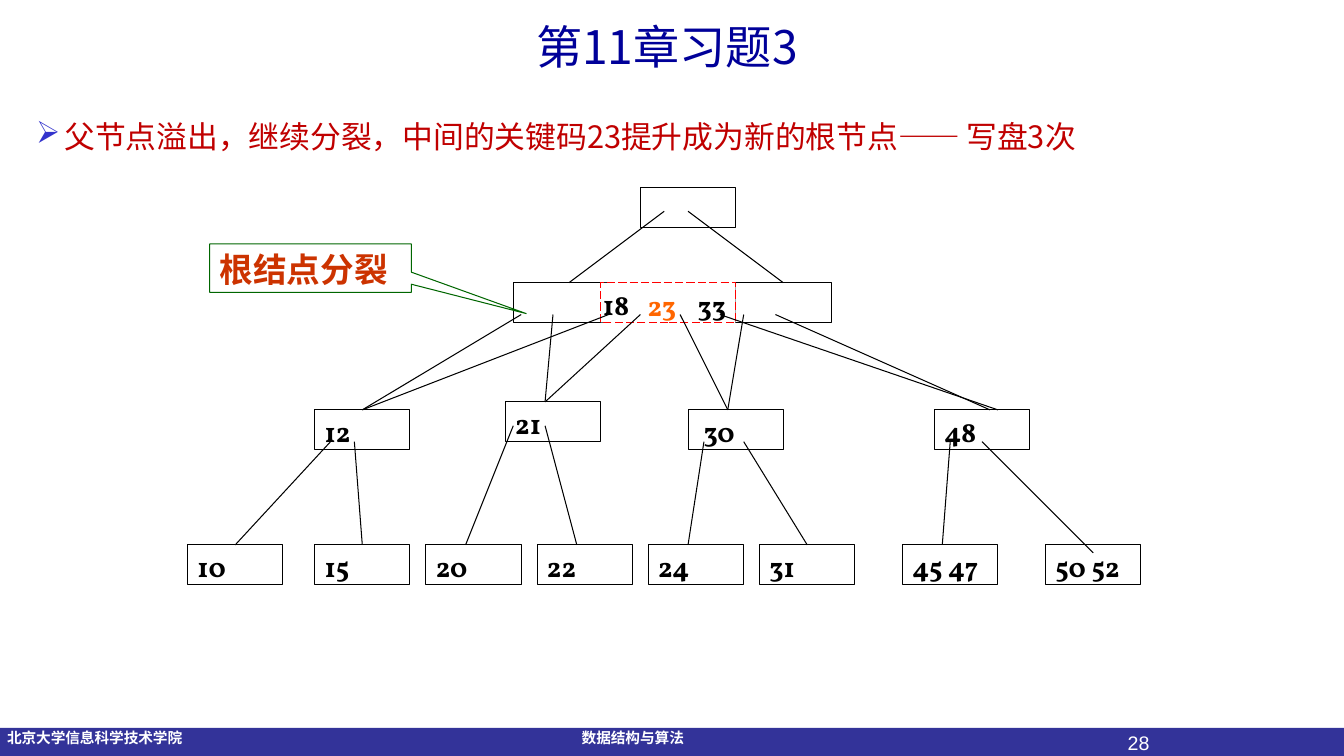
from typing import NamedTuple

from lxml.etree import SubElement
from pptx import Presentation
from pptx.dml.color import RGBColor
from pptx.enum.dml import MSO_LINE
from pptx.enum.shapes import MSO_CONNECTOR, MSO_SHAPE
from pptx.enum.text import MSO_ANCHOR, PP_ALIGN
from pptx.oxml.ns import qn
from pptx.util import Inches, Pt

WIDTH, HEIGHT = 13.33, 7.5
ORIGIN, UNIT = 1.86, 0.0788  # the tree grid starts at the same distance left and top
NODE_COLUMNS, NODE_ROWS = 12, 5
SANS, SERIF, PLAIN = "Noto Sans CJK SC", "Vollkorn", "Arial"
BLACK, WHITE = "000000", "FFFFFF"


class Node(NamedTuple):
    column: int
    row: int
    keys: str = ""


class Edge(NamedTuple):
    start_column: int
    start_row: int
    end_column: int
    end_row: int


class Label(NamedTuple):
    text: str
    left: float
    top: float
    width: float
    height: float
    size: float
    font: str
    color: str
    bold: bool = True
    align: PP_ALIGN = PP_ALIGN.LEFT
    wrap: bool = True
    left_inset: float = 0.1


NODES = [
    Node(57, 0), Node(69, 12), Node(41, 12),
    Node(16, 28, "12"), Node(40, 27, "21"), Node(63, 28, " 30"), Node(94, 28, "48"),
    Node(0, 45, "10"), Node(16, 45, "15"), Node(30, 45, "20"), Node(44, 45, "22"),
    Node(58, 45, "24"), Node(72, 45, "31"), Node(90, 45, "45 47"), Node(108, 45, "50 52"),
]
EDGES = [
    # New root to the two halves
    Edge(60, 3, 48, 12), Edge(63, 3, 75, 12),
    # Overflowing node to its children
    Edge(53, 16, 22, 28), Edge(57, 16, 45, 27), Edge(62, 16, 68, 28), Edge(67, 16, 102, 28),
    # Split halves to the same children
    Edge(42, 16, 22, 28), Edge(46, 16, 45, 27), Edge(70, 16, 68, 28), Edge(74, 16, 101, 28),
    # Children to leaves
    Edge(18, 32, 6, 45), Edge(21, 32, 22, 45), Edge(41, 30, 35, 45), Edge(45, 30, 49, 45),
    Edge(65, 32, 63, 45), Edge(70, 32, 78, 45), Edge(96, 32, 95, 45), Edge(100, 32, 114, 46),
]
SPLIT_KEYS = [
    Label(" 23 ", 6.27, 2.81, 0.63, 0.43, 20, SERIF, "FF6600"),
    Label("18", 5.88, 2.8, 0.55, 0.43, 20, SERIF, BLACK),
    Label("33", 6.82, 2.81, 0.55, 0.43, 20, SERIF, BLACK),
]
FOOTER = [
    Label("北京大学信息科学技术学院", 0.07, 7.18, 1.87, 0.28, 10.5, PLAIN, WHITE,
          wrap=False, left_inset=0),
    Label("数据结构与算法", 5.77, 7.18, 1.13, 0.28, 10.5, PLAIN, WHITE,
          wrap=False, left_inset=0),
    Label("28", 10, 7.2, 1.5, 0.25, 14, PLAIN, WHITE, bold=False, align=PP_ALIGN.RIGHT),
]


def rgb(color: str) -> RGBColor:
    return RGBColor.from_string(color)


def grid(steps: float) -> float:
    return ORIGIN + steps * UNIT


def write(shape, text: str, size: float, font: str, color: str, bold: bool = False,
          align: PP_ALIGN = PP_ALIGN.LEFT):
    """Put one paragraph in a shape and return it."""
    frame = shape.text_frame
    frame.word_wrap = True
    frame.vertical_anchor = MSO_ANCHOR.TOP
    paragraph = frame.paragraphs[0]
    paragraph.text = text
    paragraph.alignment = align
    paragraph.font.name = font
    paragraph.font.size = Pt(size)
    paragraph.font.bold = bold
    paragraph.font.color.rgb = rgb(color)
    return paragraph


def add_box(slide, kind: MSO_SHAPE, left: float, top: float, width: float, height: float,
            fill: str | None = WHITE, line: str | None = BLACK):
    shape = slide.shapes.add_shape(kind, Inches(left), Inches(top), Inches(width), Inches(height))
    shape.shadow.inherit = False
    if fill:
        shape.fill.solid()
        shape.fill.fore_color.rgb = rgb(fill)
    else:
        shape.fill.background()
    if line:
        shape.line.color.rgb = rgb(line)
        shape.line.width = Pt(0.75)
    else:
        shape.line.fill.background()
    return shape


def add_node(slide, node: Node, columns: int = NODE_COLUMNS, line: str = BLACK):
    shape = add_box(slide, MSO_SHAPE.RECTANGLE, grid(node.column), grid(node.row),
                    columns * UNIT, NODE_ROWS * UNIT, line=line)
    if node.keys:
        write(shape, node.keys, 20, SERIF, BLACK, bold=True)
    return shape


def add_edge(slide, edge: Edge) -> None:
    connector = slide.shapes.add_connector(
        MSO_CONNECTOR.STRAIGHT, *(Inches(grid(steps)) for steps in edge))
    connector.line.color.rgb = rgb(BLACK)
    connector.line.width = Pt(0.75)
    SubElement(connector._element.spPr, qn("a:effectLst"))


def add_label(slide, label: Label):
    box = slide.shapes.add_textbox(Inches(label.left), Inches(label.top),
                                   Inches(label.width), Inches(label.height))
    paragraph = write(box, label.text, label.size, label.font, label.color,
                      label.bold, label.align)
    box.text_frame.word_wrap = label.wrap
    box.text_frame.margin_left = Inches(label.left_inset)
    return paragraph


def add_bullet(paragraph, character: str, color: str, indent: float) -> None:
    properties = paragraph._p.get_or_add_pPr()
    properties.set("marL", str(Inches(indent)))
    properties.set("indent", str(-Inches(indent)))
    bullet_color = properties.makeelement(qn("a:buClr"), {})
    SubElement(bullet_color, qn("a:srgbClr"), val=color)
    bullet = properties.makeelement(qn("a:buChar"), {"char": character})
    defaults = properties.find(qn("a:defRPr"))
    defaults.addprevious(bullet_color)
    defaults.addprevious(bullet)


def main() -> None:
    presentation = Presentation()
    presentation.slide_width = Inches(WIDTH)
    presentation.slide_height = Inches(HEIGHT)
    slide = presentation.slides.add_slide(presentation.slide_layouts[5])

    # Footer band
    add_box(slide, MSO_SHAPE.RECTANGLE, 0, 7.22, WIDTH, 0.28, fill="333399", line=None)
    for label in FOOTER:
        add_label(slide, label)

    # Title
    title = slide.shapes.title
    title.left, title.top = 0, 0
    title.width, title.height = Inches(WIDTH), Inches(0.91)
    write(title, "第11章习题3", 33, SANS, "000099", align=PP_ALIGN.CENTER)
    title.text_frame.vertical_anchor = MSO_ANCHOR.MIDDLE
    title.text_frame.margin_left = Inches(0.2)
    title.text_frame.margin_right = Inches(0.3)

    # Tree nodes, with the overflowing middle part dashed
    for node in NODES:
        add_node(slide, node)
    overflow = add_node(slide, Node(52, 12), columns=17, line="FF0000")
    overflow.line.dash_style = MSO_LINE.LONG_DASH

    # Callout
    callout = add_box(slide, MSO_SHAPE.RECTANGULAR_CALLOUT, 2.08, 2.42, 2, 0.48,
                      fill=None, line="006600")
    callout.adjustments[0], callout.adjustments[1] = 1.07, 0.94
    write(callout, "根结点分裂", 24, SERIF, "CC3300", bold=True)

    # Tree edges and the keys of the overflowing node
    for edge in EDGES:
        add_edge(slide, edge)
    for label in SPLIT_KEYS:
        add_label(slide, label)

    # Explanation
    explanation = add_label(slide, Label(
        "父节点溢出，继续分裂，中间的关键码23提升成为新的根节点—— 写盘3次",
        0.26, 0.99, 12.81, 0.8, 22, SANS, "C00000", bold=False))
    explanation.line_spacing = 1.35
    explanation.space_before = Pt(4.4)
    add_bullet(explanation, "➢", "3333CC", 0.28)

    presentation.save("out.pptx")


if __name__ == "__main__":
    main()
